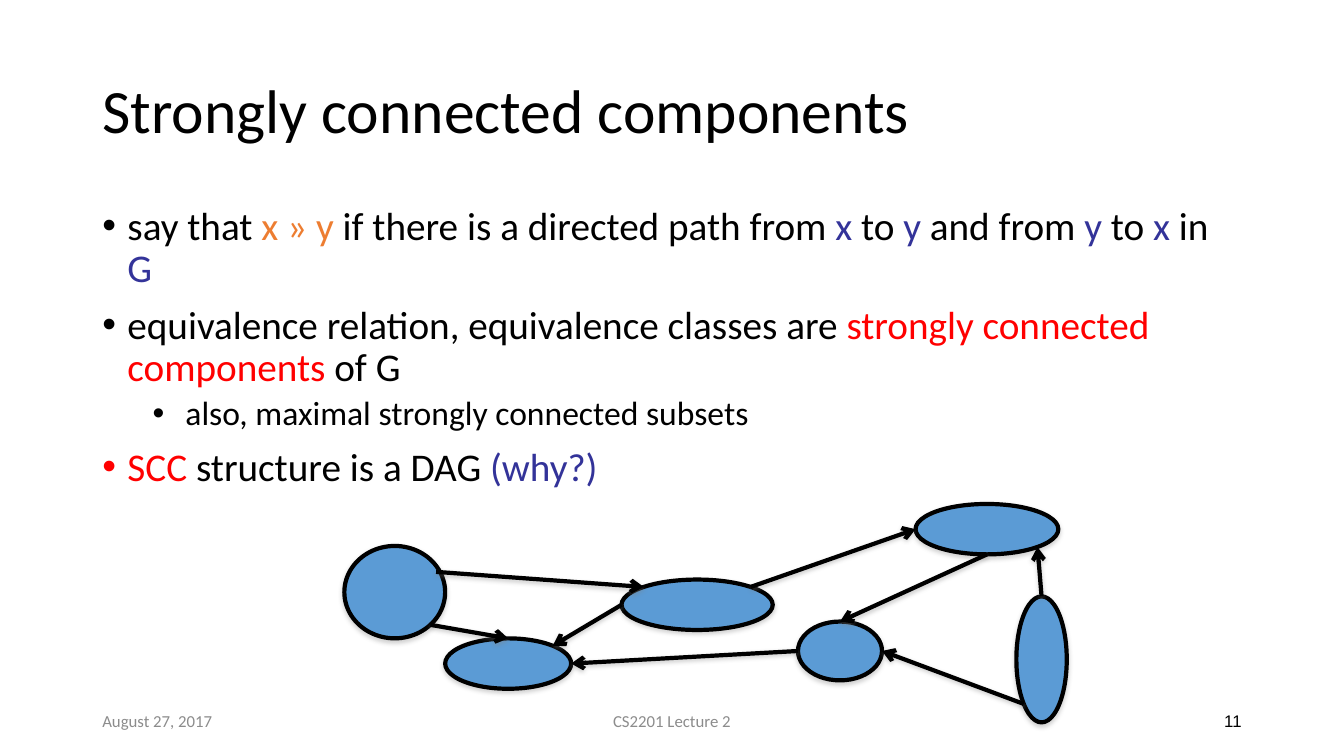
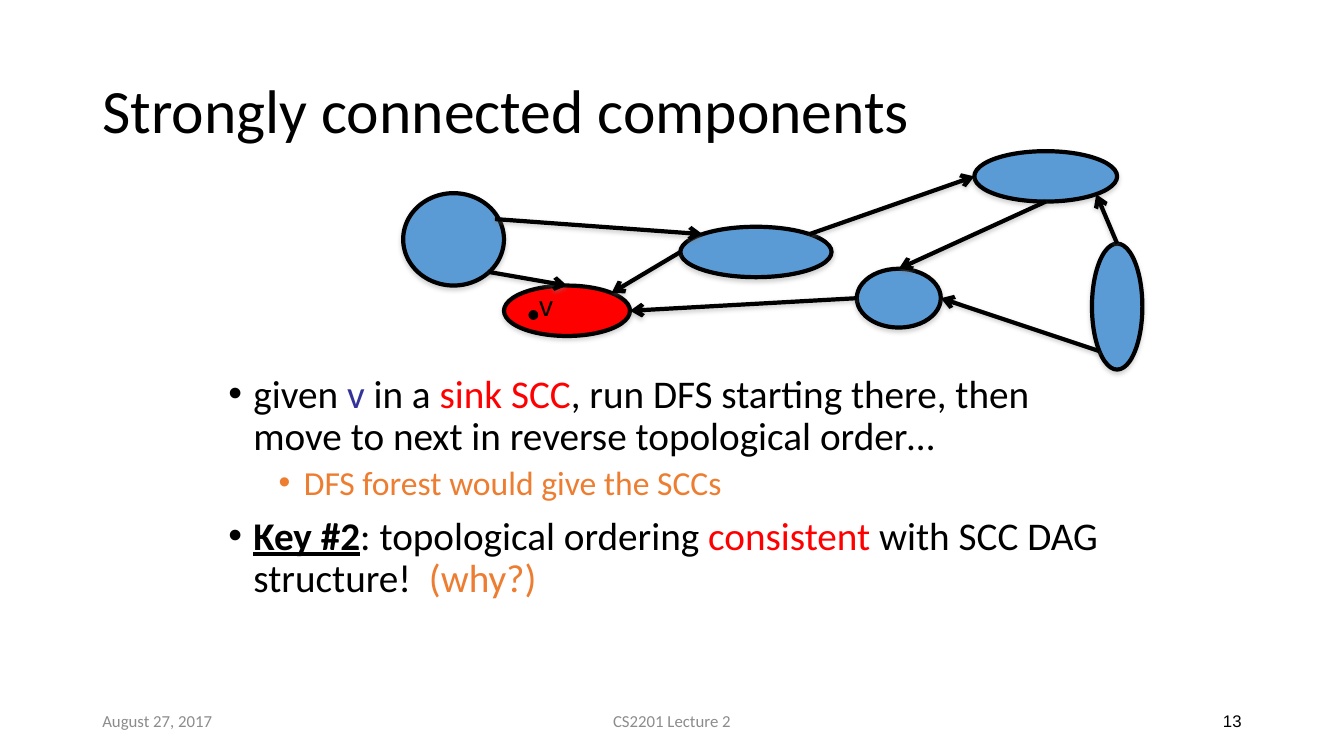
"""Build two lecture slides on strongly connected components."""
from dataclasses import dataclass
from math import cos, pi, sin

from lxml.etree import SubElement
from pptx import Presentation
from pptx.dml.color import RGBColor
from pptx.enum.shapes import MSO_CONNECTOR, MSO_SHAPE
from pptx.enum.text import MSO_ANCHOR, MSO_AUTO_SIZE, PP_ALIGN
from pptx.oxml.ns import qn
from pptx.util import Pt


@dataclass(frozen=True)
class Theme:
    ink: str = "000000"
    muted: str = "8C8C8C"
    node: str = "5B9BD5"
    red: str = "FF0000"
    orange: str = "ED7D31"
    blue: str = "333399"
    shadow: str = "808080"
    font: str = "Calibri"
    label_font: str = "Arial"
    title_size: int = 44
    body_sizes: tuple = (28, 24)
    label_size: int = 20
    footer_size: int = 12
    stroke: int = 3


THEME = Theme()
TITLE = "Strongly connected components"
MARGIN = 66
RED, ORANGE, BLUE = ({"color": color} for color in (THEME.red, THEME.orange, THEME.blue))

RIM_SITES = [(cos(pi / 2 + i * pi / 4), -sin(pi / 2 + i * pi / 4)) for i in range(8)]
INNER_SITE = len(RIM_SITES)
SITES = RIM_SITES + [(0.82, -0.44)]

COMPONENTS = {
    "source": (0, 0, 72, 66),
    "hub": (198, 24, 108, 36),
    "sink": (72, 66, 90, 36),
    "upper": (408, -30, 102, 36),
    "tall": (480, 36, 36, 90),
    "small": (324, 54, 60, 42),
}
EDGES = [
    ("source", INNER_SITE, "hub", 1),
    ("source", 5, "sink", 0),
    ("hub", 2, "sink", 7),
    ("tall", 0, "upper", 5),
    ("upper", 4, "small", 0),
    ("tall", 3, "small", 6),
    ("small", 2, "sink", 6),
    ("hub", 7, "upper", 2),
]


def write(paragraph, text, *, size, color=THEME.ink, font=THEME.font, bold=False, underline=False):
    run = paragraph.add_run()
    run.text = text
    run.font.size = Pt(size)
    run.font.name = font
    run.font.bold = bold
    run.font.underline = underline
    run.font.color.rgb = RGBColor.from_string(color)


def add_shadow(effects, distance, opacity):
    shadow = SubElement(effects, qn("a:outerShdw"), blurRad="40000", dist=str(Pt(distance)),
                        dir="5400000", rotWithShape="0")
    color = SubElement(shadow, qn("a:srgbClr"), val=THEME.shadow)
    SubElement(color, qn("a:alpha"), val=str(opacity * 1000))


def site_point(node, site):
    dx, dy = SITES[site]
    return (int(node.left + node.width * (1 + dx) / 2),
            int(node.top + node.height * (1 + dy) / 2))


class Deck:
    def __init__(self, theme):
        self.theme = theme
        self.presentation = Presentation()
        self.presentation.slide_width = Pt(960)
        self.presentation.slide_height = Pt(540)
        self.slide = None

    def start_slide(self, title, number):
        self.slide = self.presentation.slides.add_slide(self.presentation.slide_layouts[5])
        heading = self.slide.shapes.title
        heading.left, heading.top, heading.width, heading.height = map(Pt, (MARGIN, 28.8, 828, 104.4))
        frame = heading.text_frame
        frame.auto_size = MSO_AUTO_SIZE.NONE
        frame.word_wrap = True
        frame.vertical_anchor = MSO_ANCHOR.MIDDLE
        paragraph = frame.paragraphs[0]
        paragraph.alignment = PP_ALIGN.LEFT
        paragraph.line_spacing = 0.9
        write(paragraph, title, size=self.theme.title_size)
        self.footer(number)

    def text_frame(self, left, top, width, height, anchor=MSO_ANCHOR.TOP):
        frame = self.slide.shapes.add_textbox(*map(Pt, (left, top, width, height))).text_frame
        frame.word_wrap = True
        frame.vertical_anchor = anchor
        return frame

    def label(self, text, box, align=PP_ALIGN.LEFT, anchor=MSO_ANCHOR.TOP, **style):
        paragraph = self.text_frame(*box, anchor=anchor).paragraphs[0]
        paragraph.alignment = align
        write(paragraph, text, **style)

    def footer(self, number):
        muted, ink = self.theme.muted, self.theme.ink
        for text, left, width, align, color, font in (
            ("August 27, 2017", MARGIN, 216, PP_ALIGN.LEFT, muted, self.theme.font),
            ("CS2201 Lecture 2", 318, 324, PP_ALIGN.CENTER, muted, self.theme.font),
            (str(number), 678, 216, PP_ALIGN.RIGHT, ink, self.theme.label_font),
        ):
            self.label(text, (left, 500.4, width, 28.8), align, MSO_ANCHOR.MIDDLE,
                       size=self.theme.footer_size, color=color, font=font)

    def bullets(self, items, box):
        frame = self.text_frame(*box)
        for index, (level, runs) in enumerate(items):
            paragraph = frame.add_paragraph() if index else frame.paragraphs[0]
            paragraph.level = level
            paragraph.line_spacing = 0.9
            paragraph.space_before = Pt(5 if level else 10)
            properties = paragraph._p.get_or_add_pPr()
            properties.set("marL", str(Pt(18 + 36 * level)))
            properties.set("indent", str(Pt(-18)))
            SubElement(properties, qn("a:buFont"), typeface=self.theme.label_font)
            SubElement(properties, qn("a:buChar"), char="•")
            for text, style in runs:
                write(paragraph, text, size=self.theme.body_sizes[level], **style)

    def ellipse(self, box, fill, stroke, shadowed=True):
        node = self.slide.shapes.add_shape(MSO_SHAPE.OVAL, *map(Pt, box))
        node.shadow.inherit = False
        node.fill.solid()
        node.fill.fore_color.rgb = RGBColor.from_string(fill)
        node.line.color.rgb = RGBColor.from_string(self.theme.ink)
        node.line.width = Pt(stroke)
        if shadowed:
            add_shadow(node._element.spPr.find(qn("a:effectLst")), 1.8, 35)
        return node

    def arrow(self, start, start_site, end, end_site):
        edge = self.slide.shapes.add_connector(
            MSO_CONNECTOR.STRAIGHT, *site_point(start, start_site), *site_point(end, end_site))
        edge.line.color.rgb = RGBColor.from_string(self.theme.ink)
        edge.line.width = Pt(self.theme.stroke)
        SubElement(edge.line._get_or_add_ln(), qn("a:tailEnd"), type="arrow")
        add_shadow(SubElement(edge._element.spPr, qn("a:effectLst")), 1.6, 38)
        glue = edge._element.nvCxnSpPr.cNvCxnSpPr
        for tag, node, site in (("a:stCxn", start, start_site), ("a:endCxn", end, end_site)):
            if site != INNER_SITE:
                SubElement(glue, qn(tag), id=str(node.shape_id), idx=str(site))

    def component_graph(self, left, top, tall_shift=0, sink_fill=THEME.node):
        nodes = {}
        for name, (x, y, width, height) in COMPONENTS.items():
            shift = tall_shift if name == "tall" else 0
            fill = sink_fill if name == "sink" else self.theme.node
            nodes[name] = self.ellipse((left + x + shift, top + y, width, height),
                                       fill, self.theme.stroke)
        for start, start_site, end, end_site in EDGES:
            self.arrow(nodes[start], start_site, nodes[end], end_site)


def main():
    deck = Deck(THEME)

    deck.start_slide(TITLE, 11)
    deck.bullets([
        (0, [("say that ", {}), ("x » y ", ORANGE), ("if there is a directed path from ", {}),
             ("x", BLUE), (" to ", {}), ("y", BLUE), (" and from ", {}), ("y", BLUE),
             (" to ", {}), ("x", BLUE), (" in ", {}), ("G", BLUE)]),
        (0, [("equivalence relation, equivalence classes are ", {}),
             ("strongly connected components ", RED), ("of G", {})]),
        (1, [(" also, maximal strongly connected subsets", {})]),
        (0, [("SCC", RED), (" structure is a DAG ", {}), ("(why?)", BLUE)]),
    ], (MARGIN, 144, 828, 342.72))
    deck.component_graph(246, 390)

    deck.start_slide(TITLE, 13)
    deck.bullets([
        (0, [("given ", {}), ("v", BLUE), (" in a ", {}), ("sink SCC", RED),
             (", run DFS starting there, then move to next in reverse topological order…", {})]),
        (1, [("DFS forest would give the SCCs", ORANGE)]),
        (0, [("Key #2", {"bold": True, "underline": True}), (": topological ordering ", {}),
             ("consistent", RED), (" with SCC DAG structure!  ", {}), ("(why?)", ORANGE)]),
    ], (156, 264, 648, 216))
    deck.component_graph(288, 138, tall_shift=12, sink_fill=THEME.red)
    deck.ellipse((378, 222, 6, 6), THEME.ink, 1, shadowed=False)
    deck.label("v", (378, 202.3, 36, 31.7), size=THEME.label_size, font=THEME.label_font)

    deck.presentation.save("out.pptx")


if __name__ == "__main__":
    main()
